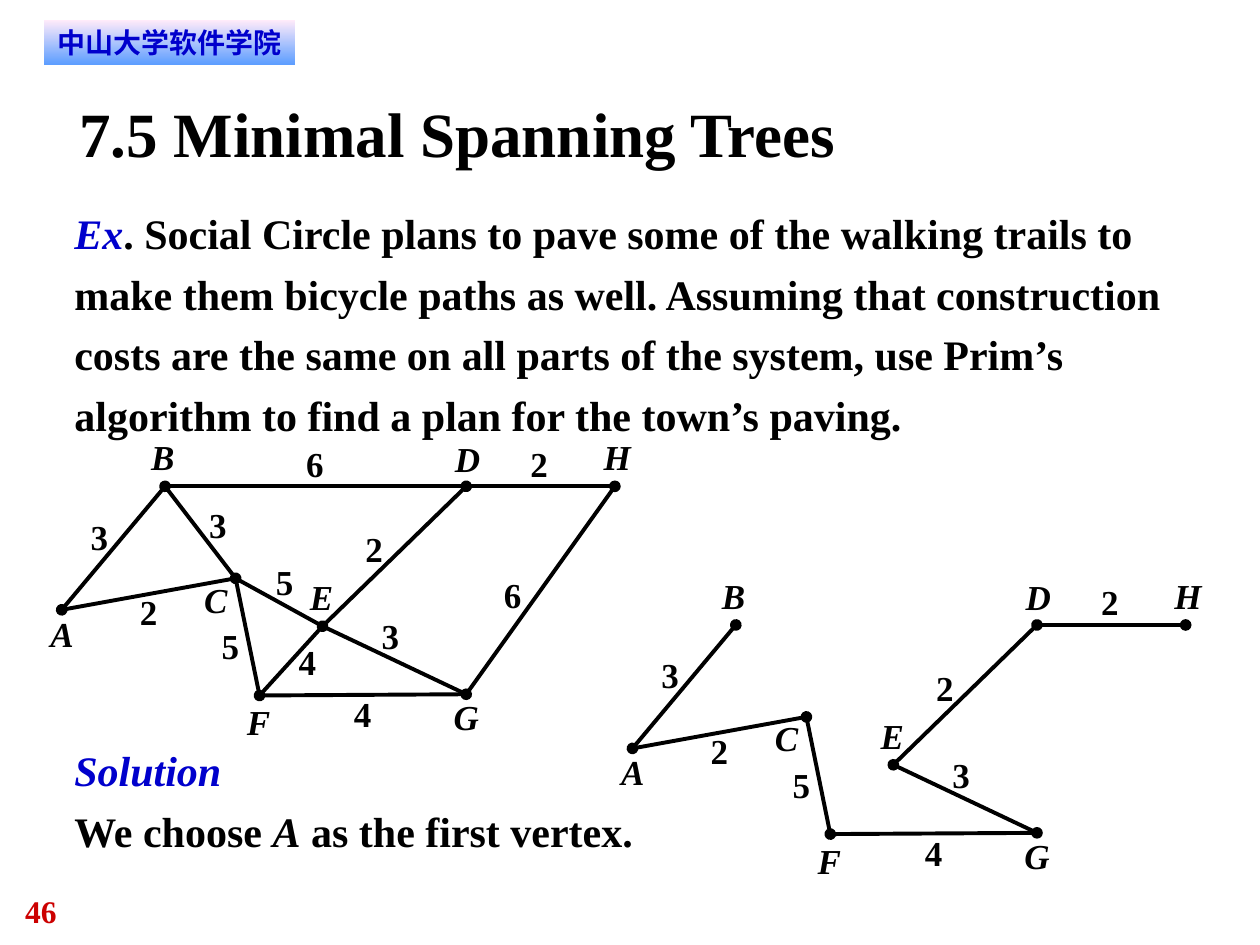
import pptx
import pptx.dml.color
import pptx.enum.shapes
import pptx.enum.text
import pptx.util
from lxml import etree
from pptx.oxml.ns import qn
from pptx.util import Inches

BLACK = pptx.dml.color.RGBColor(0x00, 0x00, 0x00)
BLUE = pptx.dml.color.RGBColor(0x00, 0x00, 0xCC)
RED = pptx.dml.color.RGBColor(0xCC, 0x00, 0x00)
BANNER_TOP = pptx.dml.color.RGBColor(0xFF, 0xEB, 0xFA)
BANNER_BOTTOM = pptx.dml.color.RGBColor(0x5E, 0x9E, 0xFF)
SERIF, SANS = "Times New Roman", "DejaVu Sans"
LEFT, CENTER = pptx.enum.text.PP_ALIGN.LEFT, pptx.enum.text.PP_ALIGN.CENTER

# A paragraph is a list of (text, colour, italic) spans.
SCHOOL = [[("中山大学软件学院", BLUE, False)]]
TITLE = [[("7.5 Minimal Spanning Trees", BLACK, False)]]
PROBLEM = [[
    ("Ex", BLUE, True),
    (". Social Circle plans to pave some of the walking trails to make them "
     "bicycle paths as well. Assuming that construction costs are the same on "
     "all parts of the system, use Prim’s algorithm to find a plan for the "
     "town’s paving.", BLACK, False),
]]
SOLUTION = [
    [("Solution", BLUE, True)],
    [("We choose ", BLACK, False), ("A", BLACK, True),
     (" as the first vertex.", BLACK, False)],
]
PAGE_NUMBER = [[("46", RED, False)]]

# Vertex: (point, top left of its letter)
VERTICES = {
    "A": ((0.49, 4.84), (0.4, 4.86)),
    "B": ((1.31, 3.86), (1.2, 3.46)),
    "C": ((1.87, 4.59), (1.62, 4.59)),
    "D": ((3.7, 3.86), (3.61, 3.47)),
    "E": ((2.56, 4.97), (2.46, 4.57)),
    "F": ((2.06, 5.52), (1.96, 5.56)),
    "G": ((3.7, 5.51), (3.6, 5.52)),
    "H": ((4.88, 3.86), (4.79, 3.46)),
}
# Edge: (weight, top left of the weight)
EDGES = {
    "HG": (6, (4.0, 4.55)), "DE": (2, (2.9, 4.19)), "BA": (3, (0.72, 4.09)),
    "AC": (2, (1.11, 4.69)), "CE": (5, (2.19, 4.45)), "CF": (5, (1.76, 4.96)),
    "BC": (3, (1.66, 4.0)), "FG": (4, (2.81, 5.5)), "EF": (4, (2.37, 5.08)),
    "EG": (3, (3.03, 4.88)), "BD": (6, (2.43, 3.51)), "DH": (2, (4.21, 3.51)),
}
# Vertices drawn as a dot at the end of each edge
TRAIL_DOTS = {"HG": "", "DE": "DE", "BA": "B", "AC": "AC", "CE": "", "CF": "",
              "BC": "", "FG": "", "EF": "F", "EG": "G", "BD": "", "DH": "H"}
TREE_DOTS = {"DE": "D", "BA": "B", "AC": "AC", "CF": "F",
             "FG": "G", "EG": "E", "DH": "H"}
TREE_SHIFT = (4.53, 1.1)


def write(box, paragraphs, size, font=SERIF, align=LEFT, spacing=None,
          wrap=True, margins=(0, 0)):
    frame = box.text_frame
    side, end = (Inches(margin) for margin in margins)
    settings = {
        "word_wrap": wrap, "auto_size": pptx.enum.text.MSO_AUTO_SIZE.NONE,
        "vertical_anchor": pptx.enum.text.MSO_ANCHOR.TOP,
        "margin_left": side, "margin_right": side,
        "margin_top": end, "margin_bottom": end,
    }
    for name, value in settings.items():
        setattr(frame, name, value)
    for index, spans in enumerate(paragraphs):
        para = frame.paragraphs[0] if index == 0 else frame.add_paragraph()
        para.alignment = align
        para.line_spacing = spacing
        for text, color, italic in spans:
            span = para.add_run()
            span.text = text
            span.font.color.rgb = color
            formats = {"name": font, "size": pptx.util.Pt(size),
                       "bold": True, "italic": italic}
            for name, value in formats.items():
                setattr(span.font, name, value)


def add_text(shapes, place, paragraphs, size, **options):
    box = shapes.add_textbox(*map(Inches, place))
    write(box, paragraphs, size, **options)


def add_edge(shapes, start, finish, dots):
    """Draw a line; dots tells whether its start and its finish carry a dot."""
    edge = shapes.add_connector(pptx.enum.shapes.MSO_CONNECTOR.STRAIGHT,
                                *map(Inches, start + finish))
    edge.line.color.rgb = BLACK
    edge.line.width = pptx.util.Pt(2.25)
    properties = edge._element.spPr
    for tag, dotted in zip(("a:headEnd", "a:tailEnd"), dots):
        if dotted:
            etree.SubElement(properties.find(qn("a:ln")), qn(tag), type="oval")
    etree.SubElement(properties, qn("a:effectLst"))


def draw_graph(shapes, edge_dots, shift=(0, 0)):
    def moved(point):
        return tuple(value + step for value, step in zip(point, shift))

    for edge, dots in edge_dots.items():
        start, finish = (moved(VERTICES[name][0]) for name in edge)
        add_edge(shapes, start, finish, [name in dots for name in edge])
    labels = [(name, corner, 0.2, True)
              for name, (_, corner) in VERTICES.items()]
    labels += [(str(EDGES[edge][0]), EDGES[edge][1], 0.14, False)
               for edge in edge_dots]
    for text, corner, width, italic in labels:
        add_text(shapes, moved(corner) + (width, 0.33),
                 [[(text, BLACK, italic)]], 20, wrap=False)


def add_banner(shapes):
    banner = shapes.add_shape(pptx.enum.shapes.MSO_SHAPE.RECTANGLE,
                              *map(Inches, (0.35, 0.16, 1.99, 0.35)))
    banner.shadow.inherit = False
    banner.line.fill.background()
    banner.fill.gradient()
    banner.fill.gradient_angle = 270
    for stop, color in zip(banner.fill.gradient_stops,
                           (BANNER_TOP, BANNER_BOTTOM)):
        stop.color.rgb = color
    write(banner, SCHOOL, 16, font=SANS, align=CENTER, margins=(0.08, 0.04))


def main():
    deck = pptx.Presentation()
    deck.slide_width, deck.slide_height = Inches(10), Inches(7.5)
    page = deck.slides.add_slide(deck.slide_layouts[5])
    shapes = page.shapes

    title = shapes.title
    for name, value in {"left": 0.63, "top": 0.75,
                        "width": 8.75, "height": 0.6}.items():
        setattr(title, name, Inches(value))
    write(title, TITLE, 36)

    add_text(shapes, (0.2, 7.08, 0.75, 0.3), PAGE_NUMBER, 18)
    add_banner(shapes)
    add_text(shapes, (0.59, 5.83, 4.86, 0.96), SOLUTION, 24, spacing=1.2)
    add_text(shapes, (0.59, 1.57, 8.95, 1.92), PROBLEM, 24, spacing=1.2)
    draw_graph(shapes, TREE_DOTS, TREE_SHIFT)
    draw_graph(shapes.add_group_shape().shapes, TRAIL_DOTS)
    deck.save("out.pptx")


if __name__ == "__main__":
    main()
